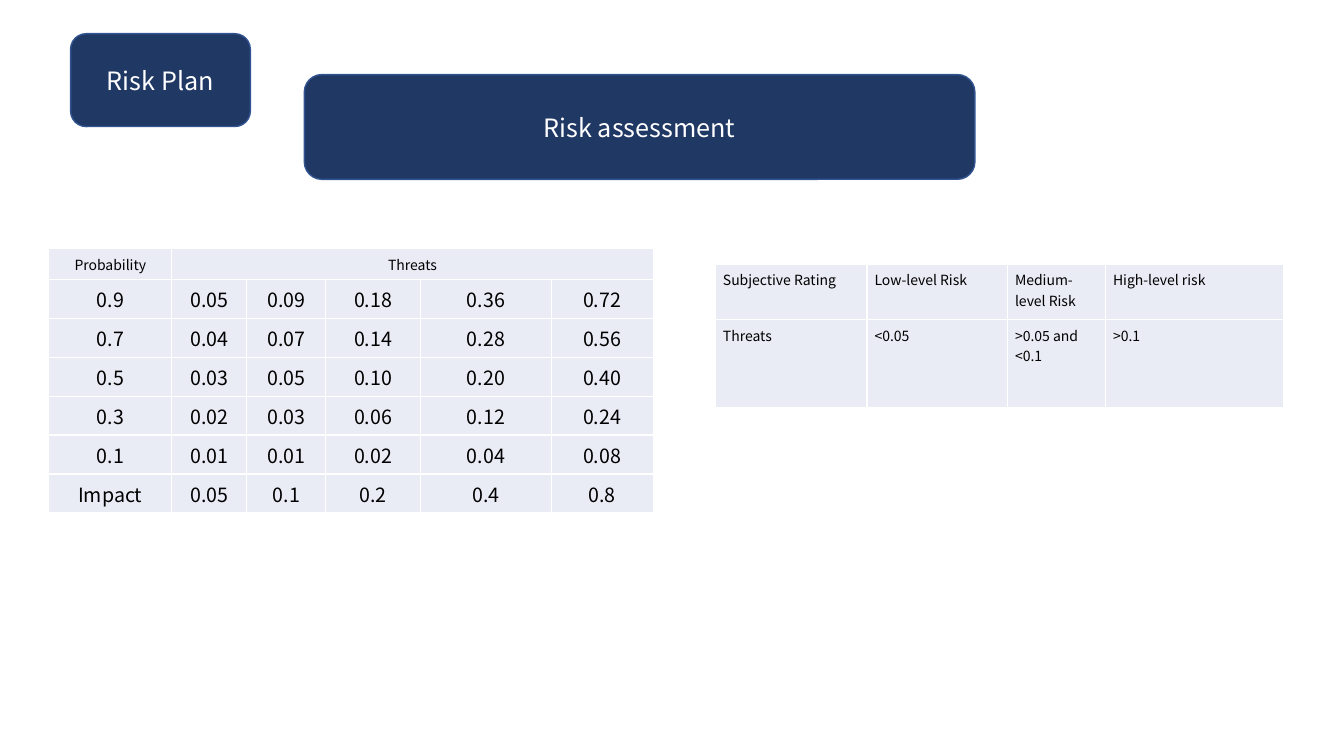
from lxml import etree
from pptx import Presentation
from pptx.dml.color import RGBColor
from pptx.enum.shapes import MSO_SHAPE
from pptx.enum.text import MSO_ANCHOR, PP_ALIGN
from pptx.oxml.ns import qn
from pptx.util import Cm, Pt

ROUNDED = MSO_SHAPE.ROUNDED_RECTANGLE
MIDDLE, TOP = MSO_ANCHOR.MIDDLE, MSO_ANCHOR.TOP
CENTER, JUSTIFY = PP_ALIGN.CENTER, PP_ALIGN.JUSTIFY
FONT = "Noto Sans CJK SC"
COLORS = {"navy": "203864", "outline": "325491", "cell": "E9EBF5",
          "white": "FFFFFF", "black": "000000"}

# Content: headings as text, left, top, width, height in cm
HEADINGS = [
    ("Risk Plan", 1.78, 0.85, 4.53, 2.34),
    ("Risk assessment", 7.67, 1.88, 16.9, 2.64),
]
THREAT_ROWS = [
    ["Probability", "Threats", "", "", "", ""],
    ["0.9", "0.05", "0.09", "0.18", "0.36", "0.72"],
    ["0.7", "0.04", "0.07", "0.14", "0.28", "0.56"],
    ["0.5", "0.03", "0.05", "0.10", "0.20", "0.40"],
    ["0.3", "0.02", "0.03", "0.06", "0.12", "0.24"],
    ["0.1", "0.01", "0.01", "0.02", "0.04", "0.08"],
    ["Impact", "0.05", "0.1", "0.2", "0.4", "0.8"],
]
RATING_ROWS = [
    ["Subjective Rating", "Low-level Risk", "Medium-level Risk", "High-level risk"],
    ["Threats", "<0.05", ">0.05 and\n<0.1", ">0.1"],
]
# Table layout in cm, with one text size per row
THREAT_LAYOUT = dict(left=1.23, top=6.27, widths=[3.1, 1.89, 1.99, 2.39, 3.29, 2.57],
                     heights=[0.76] + [0.98] * 6, sizes=[10] + [14] * 6,
                     align=CENTER, anchor=MIDDLE)
RATING_LAYOUT = dict(left=18.03, top=6.67, widths=[3.82, 3.54, 2.47, 4.48],
                     heights=[1.39, 2.21], sizes=[10, 10],
                     align=JUSTIFY, anchor=TOP)


def rgb(name):
    return RGBColor.from_string(COLORS[name])


def add_text(tf, text, size, color, align):
    for i, line in enumerate(text.split("\n")):
        p = tf.add_paragraph() if i else tf.paragraphs[0]
        p.alignment = align
        r = p.add_run()
        r.text = line
        r.font.name, r.font.size = FONT, Pt(size)
        r.font.color.rgb = rgb(color)


def add_heading(slide, text, *box):
    sp = slide.shapes.add_shape(ROUNDED, *map(Cm, box))
    sp.shadow.inherit = False
    sp.fill.solid()
    sp.fill.fore_color.rgb = rgb("navy")
    sp.line.color.rgb = rgb("outline")
    sp.line.width = Pt(1)
    sp.text_frame.vertical_anchor = MIDDLE
    add_text(sp.text_frame, text, 18, "white", CENTER)


def style_cell(cell, anchor):
    cell.margin_left = cell.margin_right = Cm(0.19)
    cell.margin_top = cell.margin_bottom = Cm(0.13)
    cell.vertical_anchor = anchor
    tc_pr = cell._tc.get_or_add_tcPr()
    for side in ("lnL", "lnR", "lnT", "lnB"):
        ln = etree.SubElement(tc_pr, qn("a:" + side), w=str(Pt(1)))
        fill = etree.SubElement(ln, qn("a:solidFill"))
        etree.SubElement(fill, qn("a:srgbClr"), val=COLORS["white"])
    cell.fill.solid()
    cell.fill.fore_color.rgb = rgb("cell")


def add_grid(slide, rows, left, top, widths, heights, sizes, align, anchor):
    frame = slide.shapes.add_table(len(rows), len(widths), Cm(left), Cm(top),
                                   Cm(sum(widths)), Cm(sum(heights)))
    table = frame.table
    table.first_row = table.horz_banding = False
    for column, width in zip(table.columns, widths):
        column.width = Cm(width)
    for i, (row, values) in enumerate(zip(table.rows, rows)):
        row.height = Cm(heights[i])
        for cell, value in zip(row.cells, values):
            style_cell(cell, anchor)
            if value:
                add_text(cell.text_frame, value, sizes[i], "black", align)
    return table


prs = Presentation()
prs.slide_width, prs.slide_height = Cm(33.87), Cm(19.05)
slide = prs.slides.add_slide(prs.slide_layouts[6])

# Headings
for heading in HEADINGS:
    add_heading(slide, *heading)

# Threat matrix, its heading spanning all impact columns
threats = add_grid(slide, THREAT_ROWS, **THREAT_LAYOUT)
threats.cell(0, 1).merge(threats.cell(0, 5))

# Rating scale
add_grid(slide, RATING_ROWS, **RATING_LAYOUT)

prs.save("out.pptx")
